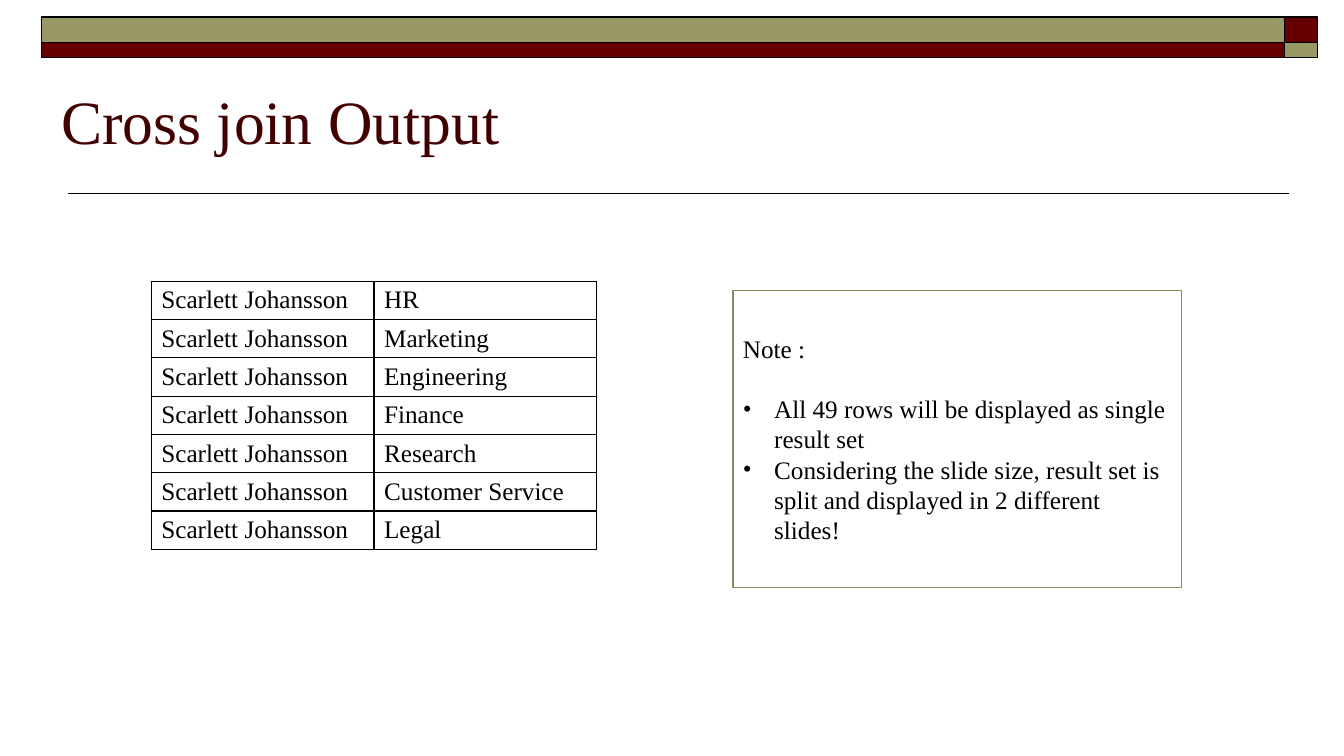
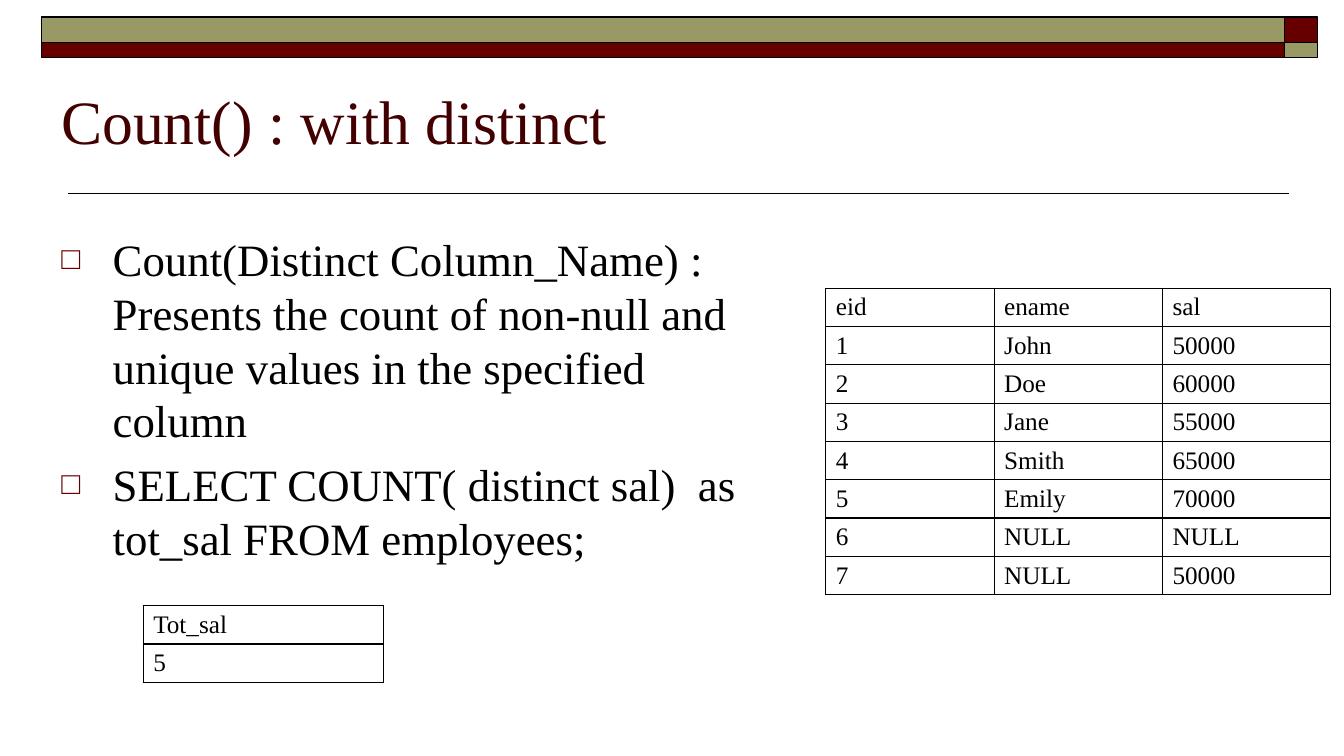
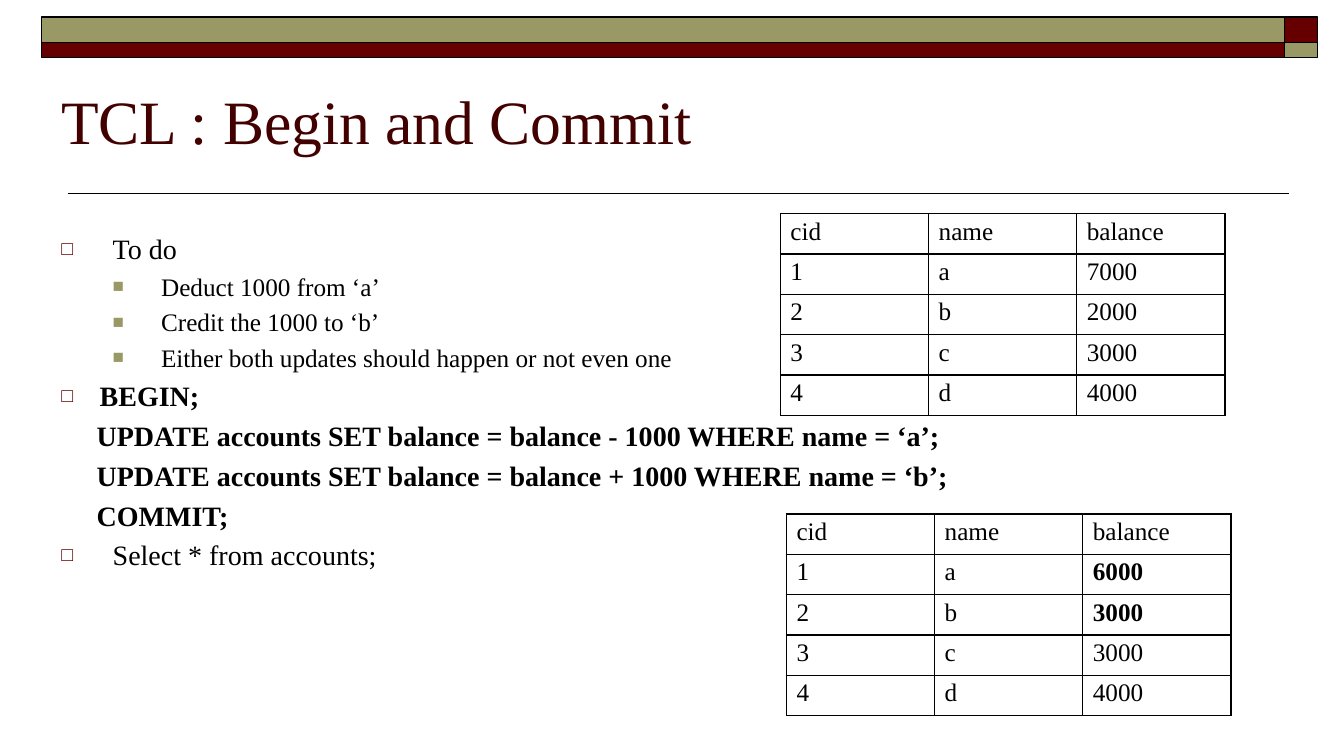
from dataclasses import dataclass

from lxml.etree import SubElement
from pptx import Presentation
from pptx.dml.color import RGBColor
from pptx.enum.shapes import MSO_CONNECTOR as Connector, MSO_SHAPE as Shape
from pptx.enum.text import MSO_ANCHOR as Anchor, PP_ALIGN as Align
from pptx.oxml.ns import qn
from pptx.util import Inches, Pt


@dataclass(frozen=True)
class Theme:
    """Colours, font and type sizes of the deck."""
    font: str = "Times New Roman"
    ink: str = "000000"
    paper: str = "FFFFFF"
    title_ink: str = "420000"
    maroon: str = "660000"
    olive: str = "999966"
    note_line: str = "8A8A5C"
    title_size: int = 44
    lead_size: int = 32
    body_size: int = 20
    small_size: int = 18
    line_width: int = 1


@dataclass(frozen=True)
class Level:
    """Size, indents in inches and bullet of a kind of paragraph."""
    size: int
    left: float = 0
    hanging: float = 0
    bullet: str = ""
    colour: str = ""
    scale: int = 100
    bold: bool = False
    gap: float = 0.22


THEME = Theme()
SQUARE = {"bullet": "□", "colour": THEME.maroon, "scale": 70}
LEAD = Level(THEME.lead_size, 0.51, 0.51, **SQUARE)
ITEM = Level(THEME.body_size, 0.51, 0.51, **SQUARE)
SUBITEM = Level(THEME.small_size, 0.99, 0.48, "■", THEME.olive, 75)
CODE_ITEM = Level(THEME.body_size, 0.38, 0.38, **SQUARE, bold=True)
CODE = Level(THEME.body_size, 0.35, bold=True)
NOTE = Level(THEME.small_size, gap=0)
NOTE_FIRST = Level(THEME.small_size, 0.31, 0.31, "•", THEME.ink, gap=1.19)
NOTE_ITEM = Level(THEME.small_size, 0.31, 0.31, "•", THEME.ink, gap=0)


class Builder:
    """Draws the elements of the deck on the current slide."""

    def __init__(self, deck, theme):
        """Keep the deck and its theme."""
        self.deck = deck
        self.theme = theme
        self.page = None

    def start_page(self, title):
        """Add a slide with the bands, the rule and the title."""
        self.page = self.deck.slides.add_slide(self.deck.slide_layouts[6])
        theme = self.theme
        self.rule(0.67, 12.78, 1.92)
        bands = ((0.17, 0.25, theme.olive, theme.maroon),
                 (0.42, 0.15, theme.maroon, theme.olive))
        for top, height, band, corner in bands:
            self.rectangle((0.41, top, 12.33, height), band, theme.ink)
            self.rectangle((12.74, top, 0.33, height), corner, theme.ink)
        box = self.page.shapes.add_textbox(*map(Inches, (0.51, 0.35, 12, 1.25)))
        frame = box.text_frame
        frame.word_wrap = True
        frame.vertical_anchor = Anchor.BOTTOM
        frame.text = title
        self.style(frame.paragraphs[0], theme.title_size, theme.title_ink)

    def rule(self, left, right, top):
        """Draw a thin horizontal line."""
        ends = map(Inches, (left, top, right, top))
        line = self.page.shapes.add_connector(Connector.STRAIGHT, *ends)
        line.line.color.rgb = RGBColor.from_string(self.theme.ink)
        line.line.width = Pt(self.theme.line_width)
        SubElement(line._element.spPr, qn("a:effectLst"))

    def rectangle(self, place, fill, outline):
        """Draw a filled rectangle with a thin outline."""
        shape = self.page.shapes.add_shape(Shape.RECTANGLE, *map(Inches, place))
        shape.shadow.inherit = False
        shape.fill.solid()
        shape.fill.fore_color.rgb = RGBColor.from_string(fill)
        shape.line.color.rgb = RGBColor.from_string(outline)
        shape.line.width = Pt(self.theme.line_width)
        return shape

    def style(self, paragraph, size, colour, bold=False):
        """Format every run of a paragraph."""
        paragraph.alignment = Align.LEFT
        for span in paragraph.runs:
            span.font.name = self.theme.font
            span.font.size = Pt(size)
            span.font.bold = bold
            span.font.color.rgb = RGBColor.from_string(colour)

    def fill_frame(self, frame, lines):
        """Fill a text frame with pairs of level and text."""
        frame.word_wrap = True
        for index, (level, text) in enumerate(lines):
            paragraph = frame.add_paragraph() if index else frame.paragraphs[0]
            paragraph.text = text
            self.bullet(paragraph, level)
            paragraph.space_before = Pt(level.size * level.gap if index else 0)
            self.style(paragraph, level.size, self.theme.ink, level.bold)

    def bullet(self, paragraph, level):
        """Set the indents and the bullet of a paragraph."""
        properties = paragraph._p.get_or_add_pPr()
        properties.set("marL", str(Inches(level.left)))
        properties.set("indent", str(-Inches(level.hanging)))
        if not level.bullet:
            SubElement(properties, qn("a:buNone"))
            return
        colour = SubElement(properties, qn("a:buClr"))
        SubElement(colour, qn("a:srgbClr"), val=level.colour)
        SubElement(properties, qn("a:buSzPct"), val=str(level.scale * 1000))
        SubElement(properties, qn("a:buFont"), typeface=self.theme.font)
        SubElement(properties, qn("a:buChar"), char=level.bullet)

    def body(self, width, lines):
        """Add the main text of the slide."""
        place = map(Inches, (0.51, 2.25, width, 4.57))
        self.fill_frame(self.page.shapes.add_textbox(*place).text_frame, lines)

    def note(self, place, lines):
        """Add a framed note."""
        box = self.rectangle(place, self.theme.paper, self.theme.note_line)
        box.text_frame.vertical_anchor = Anchor.MIDDLE
        self.fill_frame(box.text_frame, lines)

    def table(self, left, top, column_width, rows, row_height=0.38,
              anchor=Anchor.MIDDLE, bold_cells=()):
        """Add a ruled table with equal columns and rows."""
        columns = len(rows[0])
        place = (left, top, column_width * columns, row_height * len(rows))
        table = self.page.shapes.add_table(
            len(rows), columns, *map(Inches, place)).table
        table.first_row = table.horz_banding = False
        for column in table.columns:
            column.width = Inches(column_width)
        for row_index, values in enumerate(rows):
            table.rows[row_index].height = Inches(row_height)
            for column_index, value in enumerate(values):
                cell = table.cell(row_index, column_index)
                cell.text = value
                cell.vertical_anchor = anchor
                cell.margin_top = cell.margin_bottom = Inches(0.04)
                self.borders(cell)
                cell.fill.background()
                self.style(cell.text_frame.paragraphs[0], self.theme.small_size,
                           self.theme.ink, (row_index, column_index) in bold_cells)

    def borders(self, cell):
        """Rule the four sides of a cell."""
        properties = cell._tc.get_or_add_tcPr()
        width = str(Pt(self.theme.line_width))
        for side in ("a:lnL", "a:lnR", "a:lnT", "a:lnB"):
            line = SubElement(properties, qn(side), w=width)
            fill = SubElement(line, qn("a:solidFill"))
            SubElement(fill, qn("a:srgbClr"), val=self.theme.ink)


def cross_join(builder):
    """Build the slide on the cross join."""
    builder.start_page("Cross join Output")
    departments = ("HR", "Marketing", "Engineering", "Finance", "Research",
                   "Customer Service", "Legal")
    builder.table(1.5, 2.79, 2.21,
                  [("Scarlett Johansson", name) for name in departments])
    builder.note((7.27, 2.88, 4.45, 2.95), (
        (NOTE, "Note :"),
        (NOTE_FIRST, "All 49 rows will be displayed as single result set"),
        (NOTE_ITEM, "Considering the slide size, result set is split and "
                    "displayed in 2 different slides!")))


def count_distinct(builder):
    """Build the slide on counting distinct values."""
    builder.start_page("Count() : with distinct")
    builder.body(7.23, (
        (LEAD, "Count(Distinct Column_Name) : Presents the count of non-null "
               "and unique values in the specified column"),
        (LEAD, "SELECT COUNT( distinct sal)  as tot_sal FROM employees;")))
    builder.table(1.42, 6.01, 2.38, (("Tot_sal",), ("5",)))
    builder.table(8.19, 2.86, 1.67, (
        ("eid", "ename", "sal"),
        ("1", "John", "50000"),
        ("2", "Doe", "60000"),
        ("3", "Jane", "55000"),
        ("4", "Smith", "65000"),
        ("5", "Emily", "70000"),
        ("6", "NULL", "NULL"),
        ("7", "NULL", "50000")))


def begin_commit(builder):
    """Build the slide on transactions."""
    builder.start_page("TCL : Begin and Commit")
    builder.body(12, (
        (ITEM, "To do"),
        (SUBITEM, "Deduct 1000 from ‘a’"),
        (SUBITEM, "Credit the 1000 to ‘b’"),
        (SUBITEM, "Either both updates should happen or not even one"),
        (CODE_ITEM, "BEGIN;"),
        (CODE, "UPDATE accounts SET balance = balance - 1000 WHERE name = ‘a’;"),
        (CODE, "UPDATE accounts SET balance = balance + 1000 WHERE name = ‘b’;"),
        (CODE, "COMMIT;"),
        (ITEM, "Select * from accounts;")))
    accounts = (
        (7.8, 5.1, ("6000", "3000", "3000", "4000"), ((1, 2), (2, 2))),
        (7.74, 2.12, ("7000", "2000", "3000", "4000"), ()))
    for left, top, balances, changed in accounts:
        rows = [("cid", "name", "balance"), *zip("1234", "abcd", balances)]
        builder.table(left, top, 1.47, rows, 0.4, Anchor.TOP, changed)


def main():
    """Build and save the deck."""
    deck = Presentation()
    deck.slide_width, deck.slide_height = Inches(13.33), Inches(7.5)
    builder = Builder(deck, THEME)
    for build in (cross_join, count_distinct, begin_commit):
        build(builder)
    deck.save("out.pptx")


if __name__ == "__main__":
    main()
